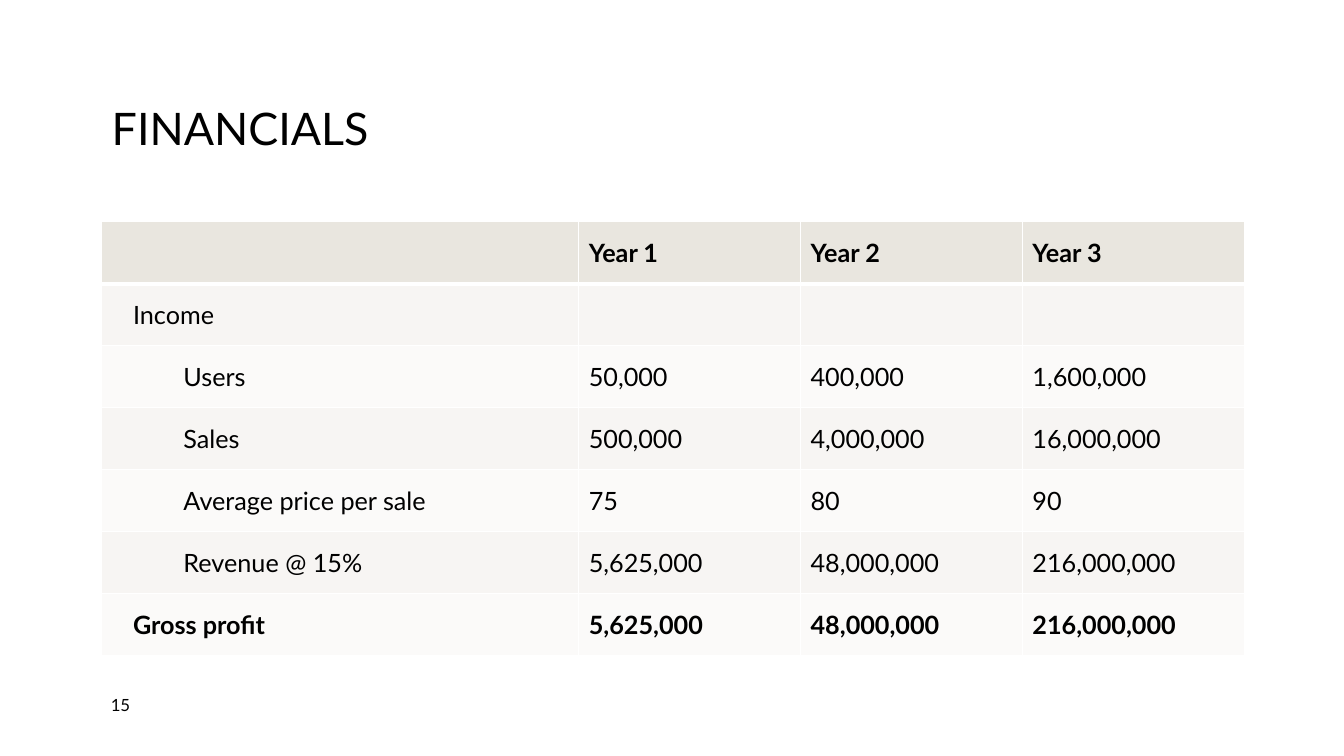
"""Build the financials slide with its three-year income table."""
import pptx
import pptx.dml.color
import pptx.enum.text
import pptx.oxml
import pptx.oxml.ns
import pptx.util
from pptx.util import Inches

FONT = "Lato"
BLACK = "000000"
WHITE = "FFFFFF"
HEADER_FILL = "E9E6DF"
BAND_FILLS = ("F7F5F3", "FBFAF9")
COLUMN_WIDTHS = (4.73, 2.2, 2.2, 2.2)
ROW_HEIGHT = 0.615
INDENTED_LABELS = ("Users", "Sales", "Average price per sale", "Revenue @ 15%")
FINANCIALS = (
    ("", "Year 1", "Year 2", "Year 3"),
    ("Income", "", "", ""),
    ("Users", "50,000", "400,000", "1,600,000"),
    ("Sales", "500,000", "4,000,000", "16,000,000"),
    ("Average price per sale", "75", "80", "90"),
    ("Revenue @ 15%", "5,625,000", "48,000,000", "216,000,000"),
    ("Gross profit", "5,625,000", "48,000,000", "216,000,000"),
)


def color(value):
    """Return the colour for a hex string."""
    return pptx.dml.color.RGBColor.from_string(value)


def format_paragraph(paragraph, size, bold=False):
    """Set the font of every run in a paragraph."""
    for run in paragraph.runs:
        run.font.name = FONT
        run.font.size = pptx.util.Pt(size)
        run.font.bold = bold
        run.font.color.rgb = color(BLACK)


def add_text(slide, text, left, top, width, height, size):
    """Add a vertically centred text box and return its paragraph."""
    shape = slide.shapes.add_textbox(
        Inches(left), Inches(top), Inches(width), Inches(height)
    )
    text_frame = shape.text_frame
    text_frame.word_wrap = True
    text_frame.vertical_anchor = pptx.enum.text.MSO_ANCHOR.MIDDLE
    text_frame.text = text
    paragraph = text_frame.paragraphs[0]
    format_paragraph(paragraph, size)
    return paragraph


def set_borders(cell, bottom_width):
    """Draw white borders around a cell."""
    properties = cell._tc.get_or_add_tcPr()
    for side, width in (("L", 1), ("R", 1), ("T", 1), ("B", bottom_width)):
        properties.append(pptx.oxml.parse_xml(
            f'<a:ln{side} {pptx.oxml.ns.nsdecls("a")} w="{pptx.util.Pt(width)}">'
            f'<a:solidFill><a:srgbClr val="{WHITE}"/></a:solidFill></a:ln{side}>'
        ))


def fill_cell(cell, text, fill, bold, top_width, bottom_width):
    """Write one table cell with its fill and borders."""
    set_borders(cell, bottom_width)
    cell._tc.tcPr.find(pptx.oxml.ns.qn("a:lnT")).set("w", str(pptx.util.Pt(top_width)))
    cell.fill.solid()
    cell.fill.fore_color.rgb = color(fill)
    cell.vertical_anchor = pptx.enum.text.MSO_ANCHOR.MIDDLE
    cell.text_frame.text = text
    format_paragraph(cell.text_frame.paragraphs[0], 18, bold)


def indent_label(cell):
    """Inset a row label, and indent it further when it is a detail row."""
    cell.margin_left = Inches(0.31)
    paragraph = cell.text_frame.paragraphs[0]
    if paragraph.text in INDENTED_LABELS:
        paragraph.level = 1
        properties = paragraph._p.get_or_add_pPr()
        properties.set("marL", str(Inches(0.5)))
        properties.set("indent", "0")


def add_financials_table(slide, left, top):
    """Add the table with a header row, banded rows and a bold total."""
    row_count = len(FINANCIALS)
    table = slide.shapes.add_table(
        row_count, len(COLUMN_WIDTHS), Inches(left), Inches(top),
        Inches(sum(COLUMN_WIDTHS)), Inches(ROW_HEIGHT * row_count),
    ).table
    for column, width in zip(table.columns, COLUMN_WIDTHS):
        column.width = Inches(width)
    for row_index, values in enumerate(FINANCIALS):
        table.rows[row_index].height = Inches(ROW_HEIGHT)
        is_header = row_index == 0
        fill = HEADER_FILL if is_header else BAND_FILLS[(row_index - 1) % 2]
        bold = row_index in (0, row_count - 1)
        top_width = 3 if row_index == 1 else 1
        bottom_width = 3 if is_header else 1
        for column_index, value in enumerate(values):
            cell = table.cell(row_index, column_index)
            fill_cell(cell, value, fill, bold, top_width, bottom_width)
        if not is_header:
            indent_label(table.cell(row_index, 0))


def main():
    """Create the presentation and save it."""
    presentation = pptx.Presentation()
    presentation.slide_width = Inches(13.33)
    presentation.slide_height = Inches(7.5)
    slide = presentation.slides.add_slide(presentation.slide_layouts[6])
    title = add_text(slide, "FINANCIALS", 1.01, 0.64, 11.32, 1.32, 32)
    title.line_spacing = 0.9
    add_financials_table(slide, 1.01, 2.2)
    add_text(slide, "15", 1, 6.83, 0.69, 0.32, 12)
    presentation.save("out.pptx")


if __name__ == "__main__":
    main()
